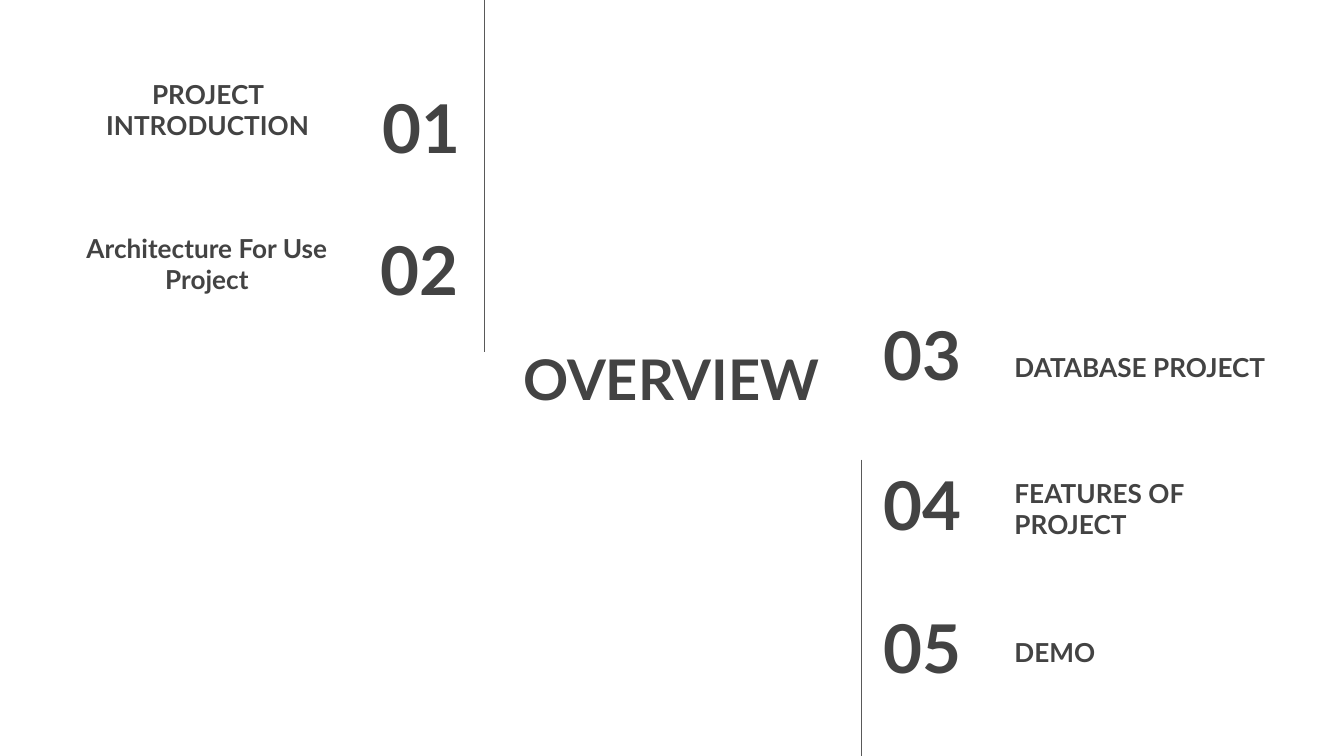
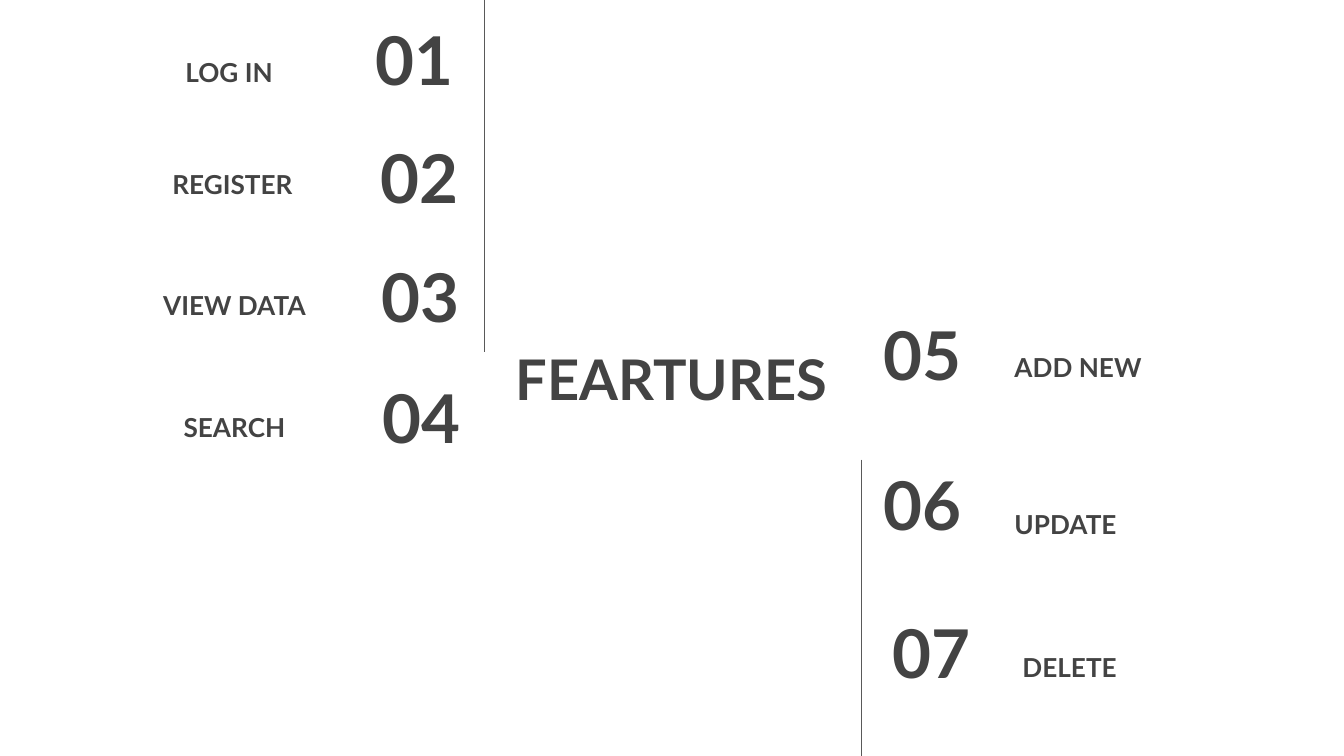
"""Build two agenda slides with numbered entries around a central title."""
from dataclasses import dataclass

import pptx
import pptx.dml.color
import pptx.enum.shapes
import pptx.enum.text
import pptx.oxml.ns
import pptx.presentation
import pptx.shapes.base
import pptx.slide
import pptx.util
from lxml import etree

ALIGN = pptx.enum.text.PP_ALIGN
ANCHOR = pptx.enum.text.MSO_ANCHOR
PX = 4572
TITLE_ONLY = 5


@dataclass(frozen=True)
class Theme:
    """Colours, font and type sizes in points."""
    font: str = "Lato"
    text: str = "434343"
    rule: str = "595959"
    background: str = "FFFFFF"
    title_size: int = 30
    number_size: int = 36
    label_size: int = 14
    rule_width: float = 0.75


@dataclass(frozen=True)
class Box:
    """A rectangle in px."""
    x: int
    y: int
    w: int
    h: int


@dataclass(frozen=True)
class Style:
    """How one kind of text is set."""
    size: int
    align: ALIGN
    anchor: ANCHOR


@dataclass(frozen=True)
class Side:
    """Widths and styles of the entries on one side of the title."""
    number_w: int
    number: Style
    label: Style


@dataclass(frozen=True)
class Entry:
    """A numbered label; each position is left and top in px."""
    label: str
    number_at: tuple[int, int]
    label_at: tuple[int, int]
    label_w: int = 432


@dataclass(frozen=True)
class Agenda:
    """The content of one slide."""
    title: str
    left: list[Entry]
    right: list[Entry]


THEME = Theme()
SLIDE_W, SLIDE_H = 2000, 1125
ENTRY_H = 126
INSET = 20
TITLE_BOX = Box(740, 460, 518, 206)
RULES = [Box(721, 0, 0, 524), Box(1282, 684, 0, 444)]
TITLE = Style(THEME.title_size, ALIGN.CENTER, ANCHOR.MIDDLE)
LEFT = Side(242, Style(THEME.number_size, ALIGN.RIGHT, ANCHOR.MIDDLE),
            Style(THEME.label_size, ALIGN.CENTER, ANCHOR.BOTTOM))
RIGHT = Side(234, Style(THEME.number_size, ALIGN.LEFT, ANCHOR.MIDDLE),
             Style(THEME.label_size, ALIGN.LEFT, ANCHOR.BOTTOM))

AGENDAS = [
    Agenda("OVERVIEW", [
        Entry("PROJECT INTRODUCTION", (463, 125), (128, 104), 362),
        Entry("Architecture For Use Project", (460, 337), (92, 333)),
    ], [
        Entry("DATABASE PROJECT", (1295, 464), (1490, 464)),
        Entry("FEATURES OF PROJECT", (1295, 687), (1490, 698)),
        Entry("DEMO", (1295, 899), (1490, 888)),
    ]),
    Agenda("FEARTURES", [
        Entry("LOG IN", (452, 25), (160, 24), 362),
        Entry("REGISTER", (460, 200), (130, 192)),
        Entry("VIEW DATA", (462, 377), (133, 371)),
        Entry("SEARCH", (463, 557), (133, 553)),
    ], [
        Entry("ADD NEW", (1295, 464), (1490, 464)),
        Entry("UPDATE", (1295, 687), (1490, 698)),
        Entry("DELETE", (1308, 907), (1502, 910)),
    ]),
]


def px(n: int) -> pptx.util.Emu:
    """Turn px into EMU."""
    return pptx.util.Emu(n * PX)


def rgb(value: str) -> pptx.dml.color.RGBColor:
    """Turn a hex string into a colour."""
    return pptx.dml.color.RGBColor.from_string(value)


def set_text(sp: pptx.shapes.base.BaseShape, text: str, style: Style) -> None:
    """Write one paragraph into a shape and format it."""
    tf = sp.text_frame
    tf.text = text
    tf.word_wrap = True
    tf.auto_size = pptx.enum.text.MSO_AUTO_SIZE.NONE
    tf.vertical_anchor = style.anchor
    tf.margin_left = tf.margin_right = px(INSET)
    tf.margin_top = tf.margin_bottom = px(INSET)
    p = tf.paragraphs[0]
    p.alignment = style.align
    p.font.name = THEME.font
    p.font.size = pptx.util.Pt(style.size)
    p.font.bold = True
    p.font.color.rgb = rgb(THEME.text)


def add_title(s: pptx.slide.Slide, text: str) -> None:
    """Move the title placeholder to the centre and fill it."""
    sp = s.shapes.title
    sp.left, sp.top = px(TITLE_BOX.x), px(TITLE_BOX.y)
    sp.width, sp.height = px(TITLE_BOX.w), px(TITLE_BOX.h)
    set_text(sp, text, TITLE)


def add_text(s: pptx.slide.Slide, box: Box, text: str, style: Style) -> None:
    """Add a text box."""
    sp = s.shapes.add_textbox(px(box.x), px(box.y), px(box.w), px(box.h))
    set_text(sp, text, style)


def add_rule(s: pptx.slide.Slide, box: Box) -> None:
    """Add a thin straight line without a shadow."""
    sp = s.shapes.add_connector(
        pptx.enum.shapes.MSO_CONNECTOR.STRAIGHT,
        px(box.x), px(box.y), px(box.x + box.w), px(box.y + box.h))
    sp.line.color.rgb = rgb(THEME.rule)
    sp.line.width = pptx.util.Pt(THEME.rule_width)
    etree.SubElement(sp.element.spPr, pptx.oxml.ns.qn("a:effectLst"))


def add_entry(s: pptx.slide.Slide, entry: Entry, number: int, side: Side) -> None:
    """Add the number and the label of one entry."""
    add_text(s, Box(*entry.number_at, side.number_w, ENTRY_H), f"{number:02}", side.number)
    add_text(s, Box(*entry.label_at, entry.label_w, ENTRY_H), entry.label, side.label)


def add_agenda(prs: pptx.presentation.Presentation, agenda: Agenda) -> None:
    """Add one slide with its title, rules and numbered entries."""
    s = prs.slides.add_slide(prs.slide_layouts[TITLE_ONLY])
    s.background.fill.solid()
    s.background.fill.fore_color.rgb = rgb(THEME.background)
    add_title(s, agenda.title)
    for rule in RULES:
        add_rule(s, rule)
    for number, entry in enumerate(agenda.left + agenda.right, 1):
        add_entry(s, entry, number, LEFT if number <= len(agenda.left) else RIGHT)


def main() -> None:
    """Build and save the presentation."""
    prs = pptx.Presentation()
    prs.slide_width, prs.slide_height = px(SLIDE_W), px(SLIDE_H)
    for agenda in AGENDAS:
        add_agenda(prs, agenda)
    prs.save("out.pptx")


if __name__ == "__main__":
    main()
